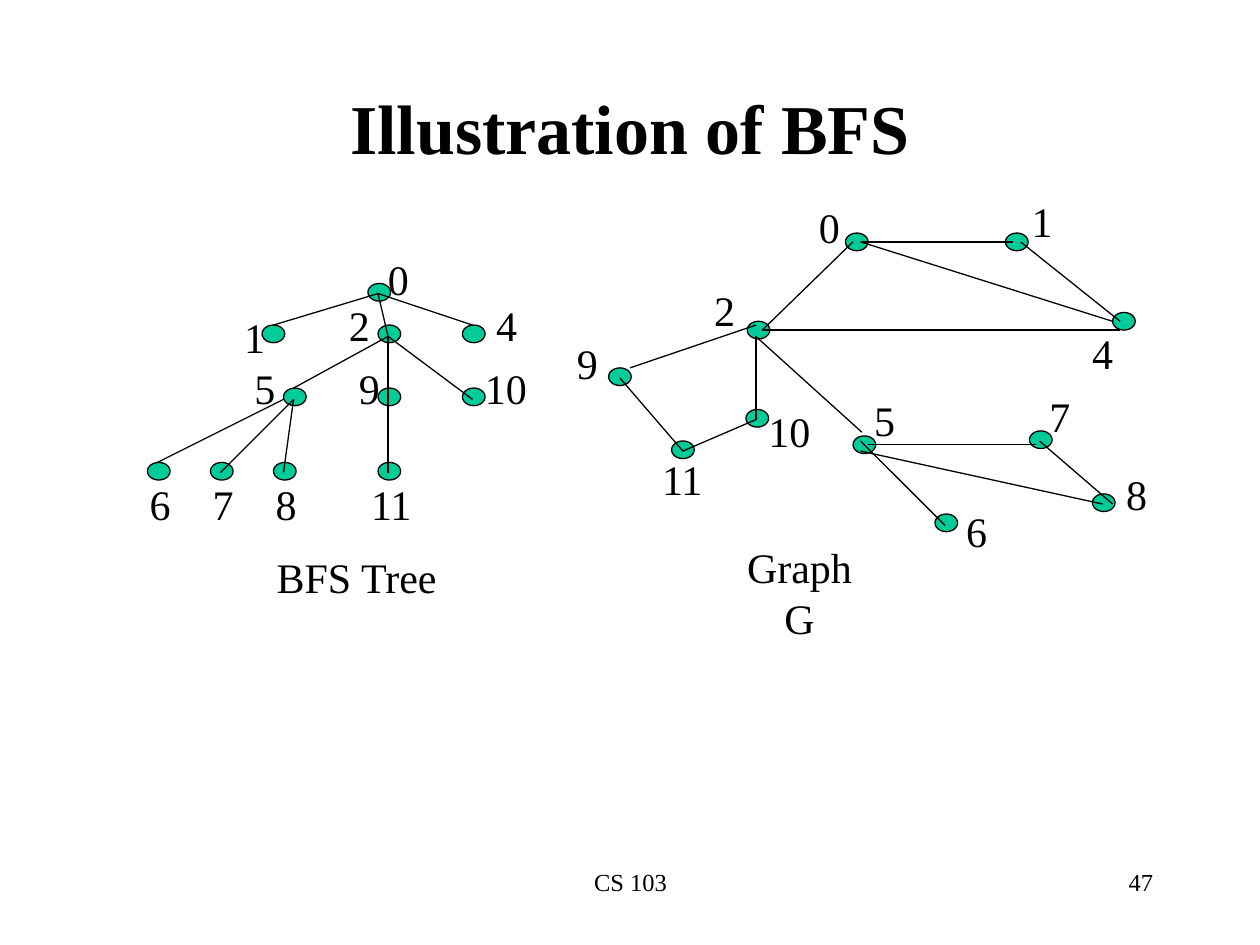
from pptx import Presentation
from pptx.dml.color import RGBColor
from pptx.enum.shapes import MSO_CONNECTOR, MSO_SHAPE
from pptx.enum.text import MSO_ANCHOR, MSO_AUTO_SIZE, PP_ALIGN
from pptx.oxml.ns import qn
from pptx.util import Emu, Pt
from lxml import etree

PX = 9144  # 100 px to the inch
FONT = "Times New Roman"
COLORS = {"ink": "000000", "node": "00CC99"}
CENTER, RIGHT = PP_ALIGN.CENTER, PP_ALIGN.RIGHT
OVAL, STRAIGHT = MSO_SHAPE.OVAL, MSO_CONNECTOR.STRAIGHT
MIDDLE, NO_FIT = MSO_ANCHOR.MIDDLE, MSO_AUTO_SIZE.NONE
NODE_SIZE = (18, 14)
LINE_HEIGHT = 50
LABEL_WIDTHS = {1: 36, 2: 53}  # by number of digits

# Nodes: name -> position in the box, label offset from the node.
# Edges: two node names, then the offset of each end from its node.
TREE = {
    "caption": ("BFS Tree", 100, 237, 148),
    "nodes": {
        "0": ((183, 29), (6, -29)),
        "1": ((99, 62), (-24, -16)),
        "2": ((191, 62), (-33, -25)),
        "4": ((258, 62), (17, -25)),
        "5": ((116, 112), (-33, -25)),
        "9": ((191, 112), (-25, -25)),
        "10": ((258, 112), (8, -25)),
        "6": ((8, 171), (-8, 8)),
        "7": ((58, 171), (-8, 8)),
        "8": ((108, 171), (-8, 8)),
        "11": ((191, 171), (-16, 8)),
    },
    "edges": [
        ("0", "1", (8, 8), (9, 0)),
        ("0", "2", (8, 8), (8, 9)),
        ("0", "4", (8, 8), (8, 0)),
        ("2", "5", (8, 9), (8, 0)),
        ("2", "9", (8, 9), (8, 9)),
        ("2", "10", (8, 9), (8, 9)),
        ("5", "6", (0, 9), (8, 0)),
        ("5", "7", (8, 9), (8, 8)),
        ("5", "8", (8, 9), (8, 8)),
        ("9", "11", (8, 9), (8, 8)),
    ],
}
GRAPH = {
    "caption": ("Graph G", 119, 275, 135),
    "nodes": {
        "0": ((223, 35), (-31, -30)),
        "1": ((350, 35), (11, -35)),
        "2": ((145, 105), (-36, -34)),
        "4": ((435, 98), (-26, 7)),
        "5": ((229, 196), (7, -38)),
        "6": ((294, 258), (15, -12)),
        "7": ((369, 192), (6, -37)),
        "8": ((419, 242), (17, -25)),
        "9": ((35, 142), (-35, -29)),
        "10": ((144, 175), (8, -8)),
        "11": ((85, 200), (-18, 5)),
    },
    "edges": [
        ("0", "1", (12, 7), (6, 7)),
        ("0", "4", (12, 7), (0, 7)),
        ("1", "4", (12, 7), (6, 7)),
        ("2", "0", (12, 7), (6, 7)),
        ("2", "4", (12, 7), (6, 14)),
        ("2", "5", (8, 13), (7, -3)),
        ("2", "9", (7, 3), (17, 0)),
        ("2", "10", (7, 12), (8, 8)),
        ("5", "6", (6, 4), (8, 9)),
        ("5", "7", (12, 7), (5, 11)),
        ("5", "8", (6, 12), (8, 8)),
        ("7", "8", (8, 8), (16, 8)),
        ("9", "11", (9, 8), (9, 8)),
        ("10", "11", (8, 8), (9, 8)),
    ],
}


def px(*lengths):
    return [Emu(length * PX) for length in lengths]


def color(name):
    return RGBColor.from_string(COLORS[name])


def offset(point, delta):
    return point[0] + delta[0], point[1] + delta[1]


def write(frame, text, size, align=CENTER, bold=False):
    frame.text = text
    para = frame.paragraphs[0]
    para.alignment = align
    font = para.runs[0].font
    font.name, font.size, font.bold = FONT, Pt(size), bold
    font.color.rgb = color("ink")


def add_text(page, text, left, top, width, size=24, align=CENTER, wrap=False):
    box = page.shapes.add_textbox(*px(left, top, width, LINE_HEIGHT))
    box.text_frame.word_wrap = wrap
    write(box.text_frame, text, size, align)


def outline(shape):
    shape.line.color.rgb = color("ink")
    shape.line.width = Pt(0.75)


def add_node(page, position):
    node = page.shapes.add_shape(OVAL, *px(*position, *NODE_SIZE))
    node.shadow.inherit = False
    node.fill.solid()
    node.fill.fore_color.rgb = color("node")
    outline(node)


def add_edge(page, start, end):
    edge = page.shapes.add_connector(STRAIGHT, *px(*start, *end))
    outline(edge)
    etree.SubElement(edge._element.spPr, qn("a:effectLst"))


def add_network(page, origin, network):
    """Draw nodes, then edges over them, then labels and the caption."""
    places = {name: offset(origin, position)
              for name, (position, _) in network["nodes"].items()}
    for position in places.values():
        add_node(page, position)
    for first, second, start, end in network["edges"]:
        add_edge(page, offset(places[first], start), offset(places[second], end))
    for name, (_, shift) in network["nodes"].items():
        add_text(page, name, *offset(places[name], shift), LABEL_WIDTHS[len(name)])
    text, left, top, width = network["caption"]
    add_text(page, text, *offset(origin, (left, top)), width)


def set_title(page, text, box):
    title = page.shapes.title
    title.left, title.top, title.width, title.height = px(*box)
    frame = title.text_frame
    frame.auto_size, frame.vertical_anchor = NO_FIT, MIDDLE
    write(frame, text, 40, bold=True)


def add_footer(page, top):
    add_text(page, "CS 103", 342, top, 317, size=14, wrap=True)
    add_text(page, "47", 717, top, 208, size=14, align=RIGHT, wrap=True)


def main():
    deck = Presentation()
    deck.slide_width, deck.slide_height = px(1000, 750)
    page = deck.slides.add_slide(deck.slide_layouts[5])
    set_title(page, "Illustration of BFS", (75, 67, 850, 67))
    add_network(page, (448, 150), GRAPH)
    add_network(page, (109, 196), TREE)
    add_footer(page, 683)
    deck.save("out.pptx")


if __name__ == "__main__":
    main()
